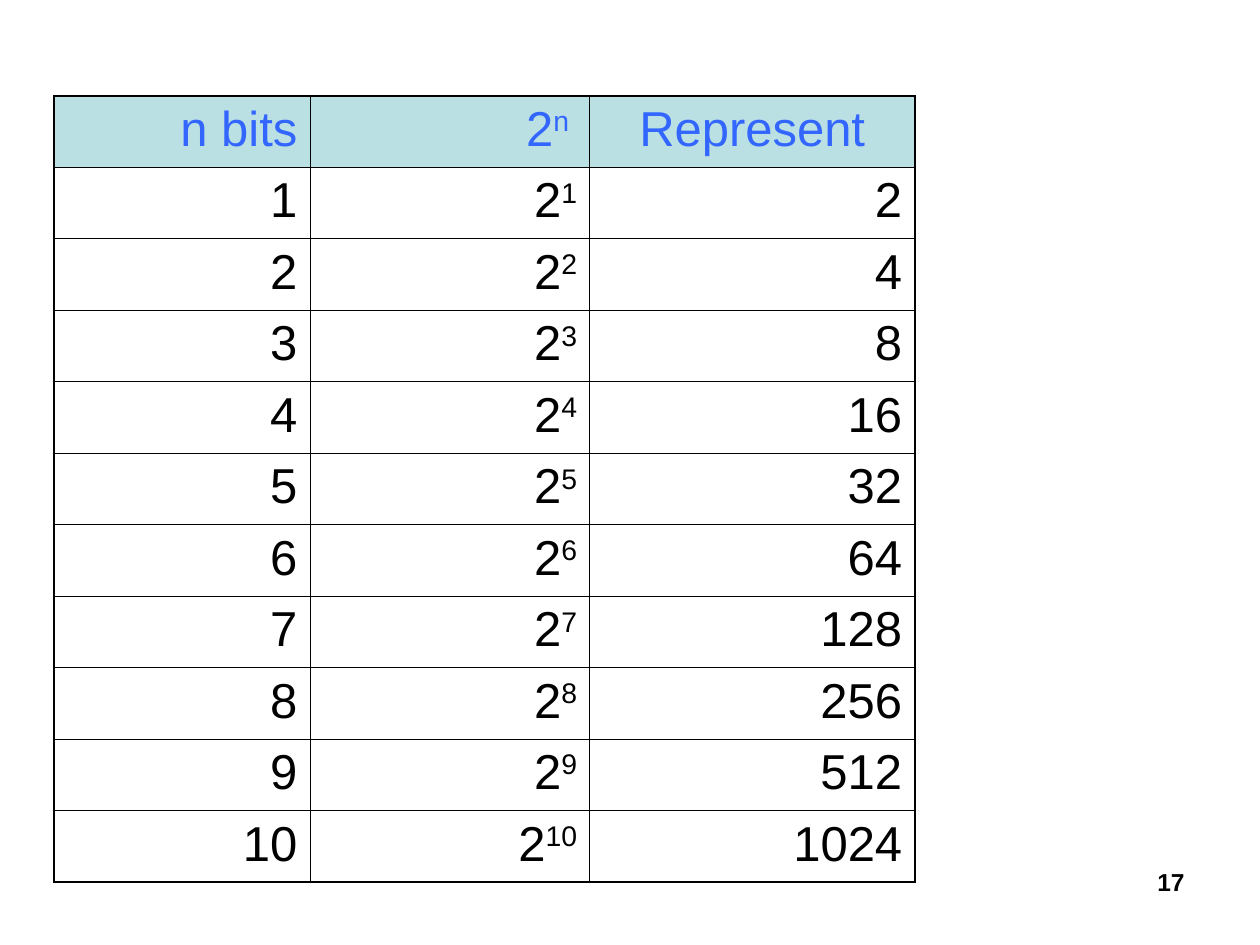
from lxml import etree
from pptx import Presentation
from pptx.dml.color import RGBColor
from pptx.enum.text import PP_ALIGN
from pptx.oxml.ns import qn
from pptx.util import Inches, Pt

BLACK = RGBColor(0x00, 0x00, 0x00)
BLUE = RGBColor(0x33, 0x66, 0xFF)
TEAL = RGBColor(0xBB, 0xE0, 0xE3)
RIGHT, CENTER = PP_ALIGN.RIGHT, PP_ALIGN.CENTER

FONT = "Arial"
THIN, THICK = Pt(0.45), Pt(1.08)
BITS = 10
WIDTHS = (2.03, 2.22, 2.58)


def put_text(frame, text, sup="", size=28, color=BLACK, bold=False, align=RIGHT):
    """Write one paragraph, with an optional superscript after the text."""
    para = frame.paragraphs[0]
    para.alignment = align
    for part, base in ((text, 0), (sup, 30000)):
        if not part:
            continue
        run = para.add_run()
        run.text = part
        font = run.font
        font.name, font.size, font.bold = FONT, Pt(size), bold
        font.color.rgb = color
        if base:
            font._element.set("baseline", str(base))


def add_edge(cell, side, width):
    """Draw one border of a cell; call before the fill is set."""
    props = cell._tc.get_or_add_tcPr()
    line = etree.SubElement(props, qn(f"a:{side}"), w=str(width))
    fill = etree.SubElement(line, qn("a:solidFill"))
    etree.SubElement(fill, qn("a:srgbClr"), val=str(BLACK))


def add_grid(slide, rows):
    """Add the table: thick outer frame, thin inner lines, tinted header."""
    last, end = len(rows) - 1, len(WIDTHS) - 1
    table = slide.shapes.add_table(
        len(rows), len(WIDTHS), Inches(0.43), Inches(0.76),
        Inches(sum(WIDTHS)), Inches(6.23)).table
    table.first_row = table.horz_banding = False
    for col, width in zip(table.columns, WIDTHS):
        col.width = Inches(width)

    for r, row in enumerate(rows):
        for c, (text, sup) in enumerate(row):
            cell = table.cell(r, c)
            outer = {"lnL": c == 0, "lnR": c == end,
                     "lnT": r == 0, "lnB": r == last}
            for side, thick in outer.items():
                add_edge(cell, side, THICK if thick else THIN)
            if r == 0:
                cell.fill.solid()
                cell.fill.fore_color.rgb = TEAL
            else:
                cell.fill.background()
            put_text(cell.text_frame, text, sup,
                     color=BLUE if r == 0 else BLACK,
                     align=CENTER if r == 0 and c == end else RIGHT)


def add_number(slide, text):
    """Add the page number."""
    box = slide.shapes.add_textbox(
        Inches(7.17), Inches(6.83), Inches(2.33), Inches(0.52))
    box.text_frame.word_wrap = True
    put_text(box.text_frame, text, size=14, bold=True)


def main():
    deck = Presentation()
    deck.slide_width, deck.slide_height = Inches(10), Inches(7.5)
    slide = deck.slides.add_slide(deck.slide_layouts[6])

    # Header, then one row for each number of bits
    rows = [[("n bits", ""), ("2", "n "), ("Represent", "")]]
    for n in range(1, BITS + 1):
        rows.append([(str(n), ""), ("2", str(n)), (str(2 ** n), "")])

    add_number(slide, "17")
    add_grid(slide, rows)
    deck.save("out.pptx")


if __name__ == "__main__":
    main()
